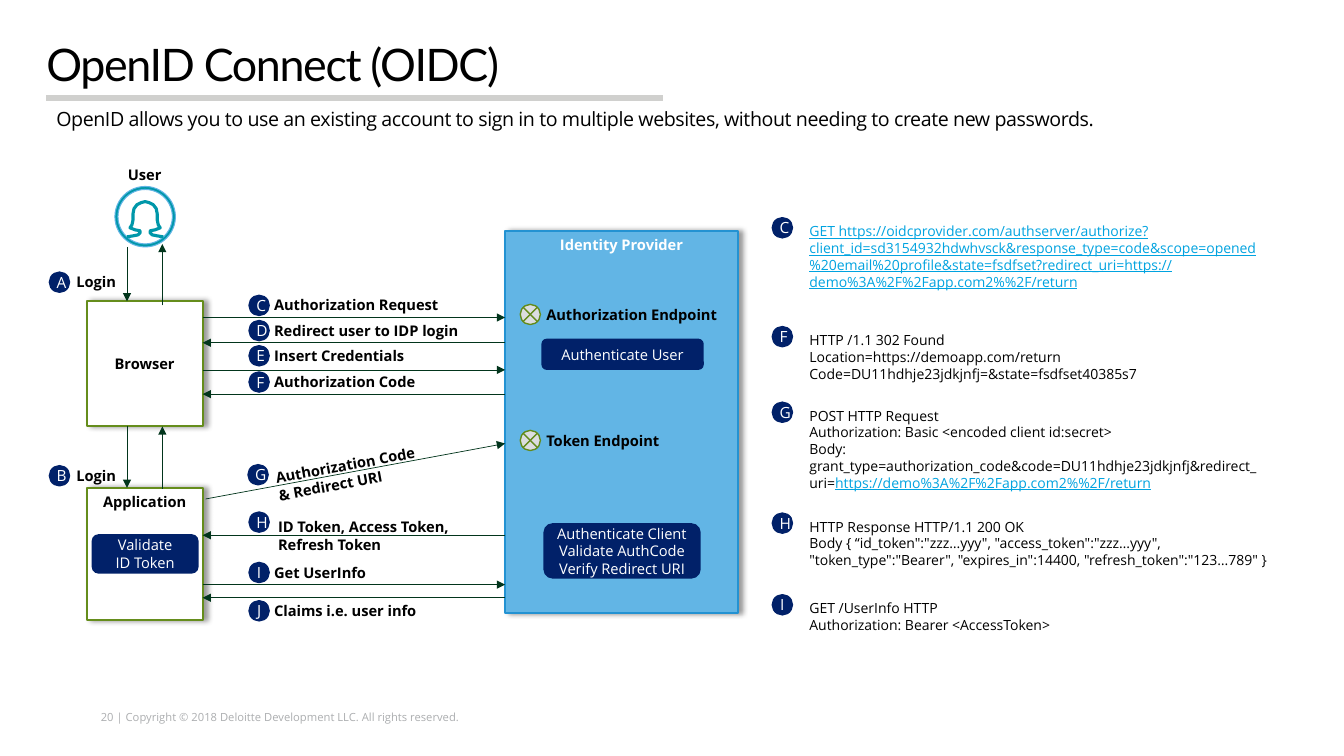
from lxml import etree
from pptx import Presentation
from pptx import util as u
from pptx.dml import color
from pptx.enum import shapes, text
from pptx.oxml import ns

PX = u.Inches(1) // 100
NAVY, GREEN, DARK_GREEN, BLACK, WHITE = "012169", "658D1C", "02351C", "000000", "FFFFFF"
TEAL, SKY, BLUE, CYAN, GREY, PALE = "0097A9", "62B5E5", "2392D2", "00A3E0", "ACAEB0", "DCDDDF"

BODY = {"size": u.Pt(10), "name": "Open Sans", "color": BLACK}
LINK = BODY | {"color": CYAN, "underline": True}
LABEL = BODY | {"size": u.Pt(10.5), "bold": True}
HEADING = LABEL | {"color": WHITE}
ACTION = HEADING | {"bold": False}
BADGE = ACTION | {"size": u.Pt(11)}
TITLE = BODY | {"size": u.Pt(32), "name": "Lato"}
SUBTITLE = BODY | {"size": u.Pt(14)}
FOOTER = BODY | {"size": u.Pt(8), "color": GREY}

STEPS = [
    ("A", 49, 66, 270, "Login", 60),
    ("B", 49, 66, 462, "Login", 60),
    ("C", 247, 262, 293, "Authorization Request", 186),
    ("D", 247, 262, 318, "Redirect user to IDP login", 206),
    ("E", 247, 262, 343, "Insert Credentials", 152),
    ("F", 247, 262, 369, "Authorization Code", 163),
    ("I", 247, 262, 558, "Get UserInfo", 113),
    ("J", 247, 262, 596, "Claims i.e. user info", 164),
]
ARROWS = [
    (126, 245, 126, 299), (161, 303, 161, 242),
    (126, 423, 126, 484), (161, 485, 161, 423),
    (201, 315, 501, 315), (501, 340, 201, 340),
    (201, 367, 501, 367), (501, 391, 201, 391),
    (204, 495, 501, 440), (501, 531, 201, 531),
    (201, 580, 501, 580), (501, 593, 201, 593),
]
ACTIONS = [
    (537, 336, 161, 31, ["Authenticate User"]),
    (539, 519, 156, 55, ["Authenticate Client", "Validate AuthCode", "Verify Redirect URI"]),
    (91, 530, 106, 39, ["Validate", "ID Token"]),
]
RETURN_URL = "https://demo%3A%2F%2Fapp.com2%%2F/return"
DETAILS = [
    ("C", 216, 467, 111, [[(
        "GET https://oidcprovider.com/authserver/authorize?client_id=sd3154932hdwhvsck"
        "&response_type=code&scope=opened%20email%20profile&state=fsdfset?redirect_uri="
        + RETURN_URL, LINK)]]),
    ("F", 324, 492, 61, ["HTTP /1.1 302 Found", "Location=https://demoapp.com/return",
                         "Code=DU11hdhje23jdkjnfj=&state=fsdfset40385s7"]),
    ("G", 399, 467, 94, [
        "POST HTTP Request", "Authorization: Basic <encoded client id:secret>",
        [("Body: grant_type=authorization_code&code=DU11hdhje23jdkjnfj&redirect_uri=", BODY),
         (RETURN_URL, LINK)]]),
    ("H", 509, 483, 61, [
        "HTTP Response HTTP/1.1 200 OK",
        'Body { “id_token":"zzz…yyy", "access_token":"zzz…yyy", '
        '"token_type":"Bearer", "expires_in":14400, "refresh_token":"123…789" }']),
    ("I", 590, 483, 44, ["GET /UserInfo HTTP", "Authorization: Bearer <AccessToken>"]),
]
HALF_PERSON = [(-18, 235), (-12, 234), (-7, 233), (-5, 231), (-5, 229), (-10, 228), (-15, 226),
               (-13, 223), (-12, 218), (-12, 212), (-11, 207), (-8, 203), (-4, 201), (0, 200)]


def px(*lengths):
    return [u.Emu(length * PX) for length in lengths]


def rgb(value):
    return color.RGBColor.from_string(value)


def paint(shape, fill=None, line=None, width=1):
    shape.shadow.inherit = False
    if fill:
        shape.fill.solid()
        shape.fill.fore_color.rgb = rgb(fill)
    else:
        shape.fill.background()
    if line:
        shape.line.color.rgb = rgb(line)
        shape.line.width = u.Pt(width)
    else:
        shape.line.fill.background()


def write(shape, lines, style, frame_values=None, paragraph_values=None, spacing=None):
    frame = shape.text_frame
    for name, value in ({"word_wrap": True} | (frame_values or {})).items():
        setattr(frame, name, value)
    for index, line in enumerate(lines):
        paragraph = frame.add_paragraph() if index else frame.paragraphs[0]
        for name, value in (paragraph_values or {}).items():
            setattr(paragraph, name, value)
        for words, run_style in [(line, style)] if isinstance(line, str) else line:
            run = paragraph.add_run()
            run.text = words
            for name, value in run_style.items():
                if name == "color":
                    run.font.color.rgb = rgb(value)
                else:
                    setattr(run.font, name, value)
            if spacing:
                run.font._element.set("spc", str(spacing))


def add_text(slide, place, lines, style, **options):
    box = slide.shapes.add_textbox(*px(*place))
    write(box, lines, style, **options)
    return box


def add_label(slide, place, words):
    fit = {"word_wrap": False, "auto_size": text.MSO_AUTO_SIZE.SHAPE_TO_FIT_TEXT}
    add_text(slide, place, [words], LABEL, frame_values=fit)


def add_block(slide, kind, place, lines, style, fill, line=None, width=1,
              anchor=text.MSO_ANCHOR.MIDDLE, **frame_values):
    shape = slide.shapes.add_shape(kind, *px(*place))
    paint(shape, fill, line, width)
    write(shape, lines, style, {"vertical_anchor": anchor} | frame_values,
          {"alignment": text.PP_ALIGN.CENTER})
    return shape


def add_party(slide, place, name, style, fill, line, anchor=text.MSO_ANCHOR.TOP):
    shape = add_block(slide, shapes.MSO_SHAPE.RECTANGLE, place, [name], style, fill, line, 1.5,
                      anchor, margin_left=0, margin_right=0)
    effects = shape._element.spPr.find(ns.qn("a:effectLst"))
    shadow = etree.SubElement(effects, ns.qn("a:outerShdw"), blurRad=str(u.Pt(4)),
                              dist=str(u.Pt(3)), dir="0", algn="l", rotWithShape="0")
    tint = etree.SubElement(shadow, ns.qn("a:srgbClr"), val=BLACK)
    etree.SubElement(tint, ns.qn("a:alpha"), val="40000")


def add_badge(slide, left, top, letter):
    add_block(slide, shapes.MSO_SHAPE.OVAL, (left, top, 20, 20), [letter], BADGE, NAVY, NAVY)


def add_line(slide, ends, line, width, arrow=False):
    connector = slide.shapes.add_connector(shapes.MSO_CONNECTOR.STRAIGHT, *px(*ends))
    connector.line.color.rgb = rgb(line)
    connector.line.width = u.Pt(width)
    if arrow:
        etree.SubElement(connector.line._get_or_add_ln(), ns.qn("a:tailEnd"), type="triangle")
    etree.SubElement(connector._element.spPr, ns.qn("a:effectLst"))


def add_user(slide, center):
    ring = slide.shapes.add_shape(shapes.MSO_SHAPE.DONUT, *px(center - 30, 185, 60, 60))
    ring.adjustments[0] = 0.05
    paint(ring, TEAL, SKY, 0.75)
    outline = HALF_PERSON + [(-x, y) for x, y in reversed(HALF_PERSON[:-1])]
    points = [(center + x, y) for x, y in outline]
    builder = slide.shapes.build_freeform(*points[0], scale=PX)
    builder.add_line_segments(points[1:], close=False)
    paint(builder.convert_to_shape(), line=TEAL, width=2.25)
    add_label(slide, (117, 160, 54, 28), "User")


def add_endpoint(slide, top, name, width):
    junction = slide.shapes.add_shape(shapes.MSO_SHAPE.FLOWCHART_SUMMING_JUNCTION,
                                      *px(516, top, 20, 20))
    paint(junction, PALE, "638B1B")
    add_label(slide, (532, top - 4, width, 28), name)


def main():
    presentation = Presentation()
    presentation.slide_width, presentation.slide_height = px(1333, 750)
    slide = presentation.slides.add_slide(presentation.slide_layouts[6])

    no_margins = dict.fromkeys(("margin_left", "margin_top", "margin_right", "margin_bottom"), 0)
    add_text(slide, (100, 705, 366, 13),
             ["20 | Copyright © 2018 Deloitte Development LLC. All rights reserved."], FOOTER,
             frame_values=no_margins | {"word_wrap": False})
    add_text(slide, (46, 42, 1222, 65), ["OpenID Connect (OIDC)"], TITLE,
             frame_values=no_margins | {"margin_top": u.Inches(0.05)},
             paragraph_values={"line_spacing": 0.8}, spacing=-100)
    add_text(slide, (46, 101, 1222, 36),
             ["OpenID allows you to use an existing account to sign in to multiple websites, "
              "without needing to create new passwords."], SUBTITLE, spacing=-30)
    add_line(slide, (46, 97, 658, 97), "D0D0CE", 4.5)

    add_party(slide, (501, 229, 231, 379), "Identity Provider", HEADING, SKY, BLUE)
    add_party(slide, (86, 299, 115, 124), "Browser", LABEL, WHITE, GREEN, text.MSO_ANCHOR.MIDDLE)
    add_party(slide, (86, 484, 115, 131), "Application", LABEL, WHITE, GREEN)
    add_user(slide, 144)
    for ends in ARROWS:
        add_line(slide, ends, DARK_GREEN, 0.5, arrow=True)
    add_endpoint(slide, 302, "Authorization Endpoint", 192)
    add_endpoint(slide, 427, "Token Endpoint", 135)
    for *place, lines in ACTIONS:
        add_block(slide, shapes.MSO_SHAPE.FLOWCHART_ALTERNATE_PROCESS, place, lines, ACTION, NAVY)

    for letter, left, label_left, top, words, width in STEPS:
        add_label(slide, (label_left, top - 4, width, 28), words)
        add_badge(slide, left, top, letter)
    code_label = add_text(slide, (264, 447, 166, 45),
                          ["Authorization Code", "& Redirect URI"], LABEL)
    code_label.rotation = 349.5
    add_badge(slide, 246, 461, "G")
    add_text(slide, (266, 509, 226, 45), ["ID Token, Access Token, Refresh Token"], LABEL)
    add_badge(slide, 247, 508, "H")

    for letter, top, width, height, lines in DETAILS:
        add_text(slide, (793, top, width, height), lines, BODY)
        add_badge(slide, 766, top, letter)

    presentation.save("out.pptx")


if __name__ == "__main__":
    main()
